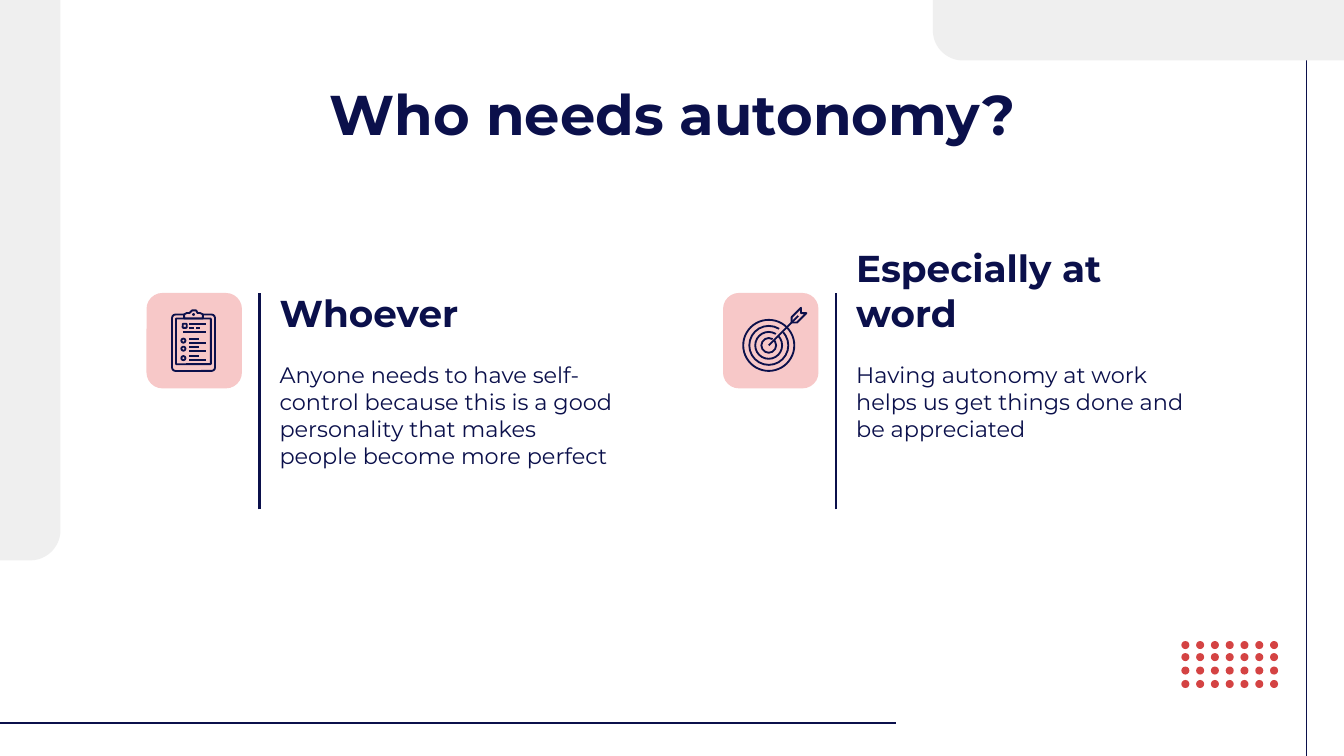
from dataclasses import dataclass

from lxml import etree
from pptx import Presentation
from pptx.dml.color import RGBColor
from pptx.enum.shapes import MSO_CONNECTOR, MSO_SHAPE
from pptx.enum.text import MSO_ANCHOR, MSO_AUTO_SIZE, PP_ALIGN
from pptx.oxml.ns import qn
from pptx.util import Inches, Pt

STRAIGHT = MSO_CONNECTOR.STRAIGHT
OVAL, ARC = MSO_SHAPE.OVAL, MSO_SHAPE.ARC
ROUND, CORNER = MSO_SHAPE.ROUNDED_RECTANGLE, MSO_SHAPE.ROUND_1_RECTANGLE
TOP, BOTTOM = MSO_ANCHOR.TOP, MSO_ANCHOR.BOTTOM
LEFT, CENTER = PP_ALIGN.LEFT, PP_ALIGN.CENTER


@dataclass(frozen=True)
class Theme:
    navy: RGBColor = RGBColor.from_string("0B104B")
    gray: RGBColor = RGBColor.from_string("EFEFEF")
    pink: RGBColor = RGBColor.from_string("F7C8C8")
    red: RGBColor = RGBColor.from_string("D44343")
    font: str = "Montserrat"
    title: int = 30
    head: int = 20
    body: int = 12
    thin: float = 0.75
    bar: float = 1.5
    icon: float = 1


theme = Theme()
deck = Presentation()
deck.slide_width, deck.slide_height = Inches(10), Inches(10 * 9 / 16)
slide = deck.slides.add_slide(deck.slide_layouts.get_by_name("Comparison"))
shapes = slide.shapes


def rule(x1, y1, x2, y2, width):
    """Draw a straight navy line without a shadow."""
    line = shapes.add_connector(STRAIGHT, Inches(x1), Inches(y1), Inches(x2), Inches(y2))
    line.line.color.rgb = theme.navy
    line.line.width = Pt(width)
    etree.SubElement(line._element.spPr, qn("a:effectLst"))


def form(kind, left, top, width, height, fill=None):
    """Add a filled shape, or a navy icon outline when no fill is given."""
    shape = shapes.add_shape(kind, Inches(left), Inches(top), Inches(width), Inches(height))
    shape.shadow.inherit = False
    if fill:
        shape.fill.solid()
        shape.fill.fore_color.rgb = fill
        shape.line.fill.background()
    else:
        shape.fill.background()
        shape.line.color.rgb = theme.navy
        shape.line.width = Pt(theme.icon)
    return shape


# Frame: lines, gray corners and the dot grid
rule(0, 5.38, 6.67, 5.38, theme.thin)
rule(9.72, 5.64, 9.72, 0, theme.thin)
for left, top, width, turn in [(6.94, 0, 3.06, 180), (-1.86, 1.86, 4.17, 90)]:
    panel = form(CORNER, left, top, width, 0.45, theme.gray)
    panel.adjustments[0] = 0.5
    panel.rotation = turn
for top in (4.77, 4.86, 4.96, 5.06):
    for col in range(7):
        form(OVAL, 8.79 + 0.11 * col, top, 0.06, 0.06, theme.red)

# Text
whoever = ("Anyone needs to have self-control because this is a good "
           "personality that makes people become more perfect")
work = "Having autonomy at work helps us get things done and be appreciated"
texts = [
    (0, "Who needs autonomy?", (0.79, 0.49, 8.43, 0.63), theme.title, True, CENTER, TOP),
    (1, "Whoever", (1.98, 2.18, 2.69, 0.41), theme.head, True, LEFT, BOTTOM),
    (2, whoever, (1.98, 2.59, 2.69, 1.97), theme.body, False, LEFT, TOP),
    (3, "Especially at word", (6.27, 2.18, 2.44, 0.41), theme.head, True, LEFT, BOTTOM),
    (4, work, (6.27, 2.59, 2.69, 1.97), theme.body, False, LEFT, TOP),
]
holders = {item.placeholder_format.idx: item for item in slide.placeholders}
for idx, words, box, size, bold, align, anchor in texts:
    holder = holders[idx]
    holder.left, holder.top, holder.width, holder.height = map(Inches, box)
    frame = holder.text_frame
    frame.text = words
    frame.word_wrap = True
    frame.auto_size = MSO_AUTO_SIZE.NONE
    frame.vertical_anchor = anchor
    frame.margin_left = frame.margin_right = Inches(0.1)
    frame.margin_top = frame.margin_bottom = Inches(0.1)
    para = frame.paragraphs[0]
    para.alignment = align
    para.space_before = Pt(0)
    para.font.name, para.font.size, para.font.bold = theme.font, Pt(size), bold
    para.font.color.rgb = theme.navy
    props = para._p.get_or_add_pPr()
    props.set("marL", "0")
    props.set("indent", "0")
    etree.SubElement(props, qn("a:buNone"))
    props.append(props.find(qn("a:defRPr")))

# Column bars and icon tiles
for left in (1.09, 5.38):
    rule(left + 0.84, 3.79, left + 0.84, 2.18, theme.bar)
    form(ROUND, left, 2.18, 0.71, 0.71, theme.pink)

# Clipboard icon
form(ROUND, 1.28, 2.34, 0.32, 0.42).adjustments[0] = 0.08
form(ROUND, 1.31, 2.37, 0.26, 0.34).adjustments[0] = 0.02
form(ROUND, 1.36, 2.41, 0.03, 0.03)
for top in (2.52, 2.58, 2.65):
    form(OVAL, 1.35, top, 0.03, 0.03)
    rule(1.41, top, 1.48, top, theme.icon)
    rule(1.41, top + 0.03, 1.53, top + 0.03, theme.icon)
for left, right, top in [(1.41, 1.53, 2.41), (1.41, 1.44, 2.44),
                         (1.46, 1.49, 2.44), (1.36, 1.53, 2.47)]:
    rule(left, top, right, top, theme.icon)

# Target icon
form(OVAL, 5.53, 2.38, 0.38, 0.38)
for size in (0.29, 0.2, 0.11):
    ring = form(ARC, 5.72 - size / 2, 2.57 - size / 2, size, size)
    # Angles are stored in 60000ths of a degree, adjustments in 100000ths
    ring.adjustments[0], ring.adjustments[1] = 318 * 0.6, 302 * 0.6
rule(5.72, 2.57, 5.94, 2.35, theme.icon)

# Clip of the board and feathers of the arrow
clip = [(1.37, 2.37), (1.37, 2.34), (1.39, 2.33), (1.41, 2.33), (1.43, 2.31),
        (1.46, 2.31), (1.47, 2.33), (1.49, 2.33), (1.51, 2.34), (1.51, 2.37)]
feathers = [(5.89, 2.4), (5.89, 2.36), (5.96, 2.29),
            (5.96, 2.33), (6, 2.33), (5.93, 2.4)]
for points, fill in [(clip, theme.pink), (feathers, None)]:
    spots = [(Inches(x), Inches(y)) for x, y in points]
    pen = shapes.build_freeform(*spots[0])
    pen.add_line_segments(spots[1:], close=True)
    part = pen.convert_to_shape()
    part.shadow.inherit = False
    part.line.color.rgb = theme.navy
    part.line.width = Pt(theme.icon)
    if fill:
        part.fill.solid()
        part.fill.fore_color.rgb = fill
    else:
        part.fill.background()
form(OVAL, 1.43, 2.33, 0.02, 0.02, theme.navy)

deck.save("out.pptx")
